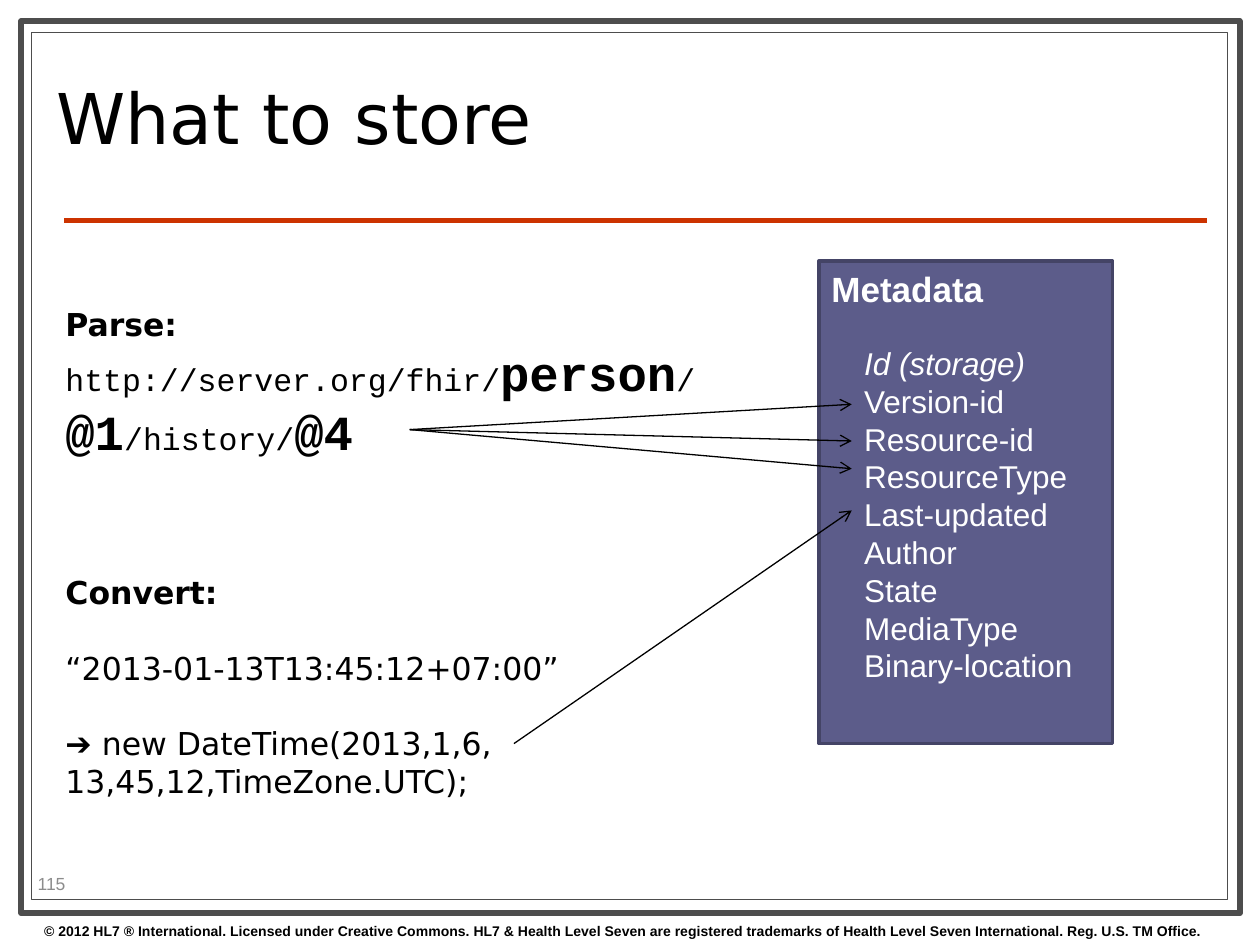
from lxml.etree import SubElement
from pptx import Presentation
from pptx.dml.color import RGBColor
from pptx.enum.shapes import MSO_CONNECTOR, MSO_SHAPE
from pptx.enum.text import MSO_ANCHOR, PP_ALIGN
from pptx.oxml.ns import qn
from pptx.util import Cm, Pt

BLACK = RGBColor(0x00, 0x00, 0x00)
WHITE = RGBColor(0xFF, 0xFF, 0xFF)
FRAME_GREY = RGBColor(0x4D, 0x4D, 0x4D)
NUMBER_GREY = RGBColor(0x8C, 0x8C, 0x8C)
RULE_RED = RGBColor(0xCC, 0x33, 0x00)
PANEL_FILL = RGBColor(0x5C, 0x5C, 0x8A)
PANEL_LINE = RGBColor(0x44, 0x44, 0x66)

BODY_FONT = "DejaVu Sans"
LABEL_FONT = "Arial"
CODE_FONT = "Courier New"

FIELDS = ["Version-id", "Resource-id", "ResourceType", "Last-updated",
          "Author", "State", "MediaType", "Binary-location"]


def write_text(frame, paragraphs, size=18, font=BODY_FONT, color=BLACK,
               bold=False, anchor=MSO_ANCHOR.TOP, wrap=True,
               line_spacing=None, gaps=()):
    """Fill a frame; a paragraph is a list of (text, format changes) runs.

    gaps holds the indexes of paragraphs that follow an empty line's space.
    """
    frame.word_wrap = wrap
    frame.vertical_anchor = anchor
    for index, runs in enumerate(paragraphs):
        paragraph = frame.add_paragraph() if index else frame.paragraphs[0]
        paragraph.alignment = PP_ALIGN.LEFT
        if line_spacing:
            paragraph.line_spacing = line_spacing
        if index in gaps:
            paragraph.space_before = Pt(size * 1.2)
        for text, changes in runs:
            run = paragraph.add_run()
            run.text = text
            run.font.size = Pt(changes.get("size", size))
            run.font.name = changes.get("font", font)
            run.font.bold = changes.get("bold", bold)
            run.font.italic = changes.get("italic", False)
            run.font.color.rgb = color


def add_text(slide, left, top, width, height, paragraphs, **text_format):
    box = slide.shapes.add_textbox(Cm(left), Cm(top), Cm(width), Cm(height))
    write_text(box.text_frame, paragraphs, **text_format)


def add_rectangle(slide, left, top, width, height, fill, line, weight):
    rectangle = slide.shapes.add_shape(
        MSO_SHAPE.RECTANGLE, Cm(left), Cm(top), Cm(width), Cm(height))
    rectangle.shadow.inherit = False
    rectangle.fill.solid()
    rectangle.fill.fore_color.rgb = fill
    rectangle.line.color.rgb = line
    rectangle.line.width = Pt(weight)
    return rectangle


def add_line(slide, start, end, color=BLACK, weight=0.75, arrow=False):
    line = slide.shapes.add_connector(
        MSO_CONNECTOR.STRAIGHT, *map(Cm, start), *map(Cm, end))
    line.line.color.rgb = color
    line.line.width = Pt(weight)
    if arrow:
        SubElement(line.line._get_or_add_ln(), qn("a:tailEnd"), type="arrow")
    SubElement(line._element.spPr, qn("a:effectLst"))


def add_page_frame(slide):
    add_rectangle(slide, 0.43, 0.43, 24.56, 17.98, WHITE, FRAME_GREY, 3.5)
    add_rectangle(slide, 0.64, 0.66, 24.1, 17.48, WHITE, FRAME_GREY, 0.75)
    add_line(slide, (1.3, 4.45), (24.33, 4.45), RULE_RED, 3)
    add_text(slide, 0.64, 18.47, 24.6, 0.58, [[(
        "© 2012 HL7 ® International. Licensed under Creative Commons. "
        "HL7 & Health Level Seven are registered trademarks of Health Level "
        "Seven International. Reg. U.S. TM Office.", {})]],
        size=8, font=LABEL_FONT, bold=True)
    add_text(slide, 0.51, 17.5, 2, 0.61, [[("115", {})]], size=10,
             font=LABEL_FONT, color=NUMBER_GREY, anchor=MSO_ANCHOR.MIDDLE)


def add_metadata_panel(slide):
    panel = add_rectangle(slide, 16.51, 5.26, 5.92, 9.73,
                          PANEL_FILL, PANEL_LINE, 2)
    write_text(panel.text_frame, [[("Metadata", {})]], size=20,
               font=LABEL_FONT, color=WHITE, bold=True)
    fields = [[("Id (storage)", {"italic": True})]]
    fields += [[(field, {})] for field in FIELDS]
    add_text(slide, 17.17, 6.81, 4.75, 7.19, fields,
             font=LABEL_FONT, color=WHITE, wrap=False)


def add_parse_step(slide):
    code = {"font": CODE_FONT}
    key = {"font": CODE_FONT, "size": 28, "bold": True}
    add_text(slide, 1.07, 6.02, 13.23, 3.43, [[
        ("Parse: ", {"bold": True}), ("http://server.org/fhir/", code),
        ("person", key), ("/", code), ("@1", key), ("/history/", code),
        ("@4", key)]])
    for field_y in (9.45, 8.89, 8.15):
        add_line(slide, (8.26, 8.66), (17.17, field_y), arrow=True)


def add_convert_step(slide):
    add_text(slide, 1.07, 11.43, 10.85, 4.88, [
        [("Convert:", {"bold": True})],
        [("“2013-01-13T13:45:12+07:00”", {})],
        [("➔ new DateTime(2013,1,6,", {})],
        [("13,45,12,TimeZone.UTC);", {})]], wrap=False, gaps=(1, 2))
    add_line(slide, (10.36, 14.99), (17.17, 10.29), arrow=True)


def main():
    presentation = Presentation()
    presentation.slide_width = Cm(25.4)
    presentation.slide_height = Cm(19.05)
    slide = presentation.slides.add_slide(presentation.slide_layouts[6])
    add_page_frame(slide)
    add_text(slide, 0.89, 0.91, 18.21, 3.2, [[("What to store", {})]],
             size=40, anchor=MSO_ANCHOR.MIDDLE, line_spacing=0.8)
    add_metadata_panel(slide)
    add_parse_step(slide)
    add_convert_step(slide)
    presentation.save("out.pptx")


if __name__ == "__main__":
    main()
